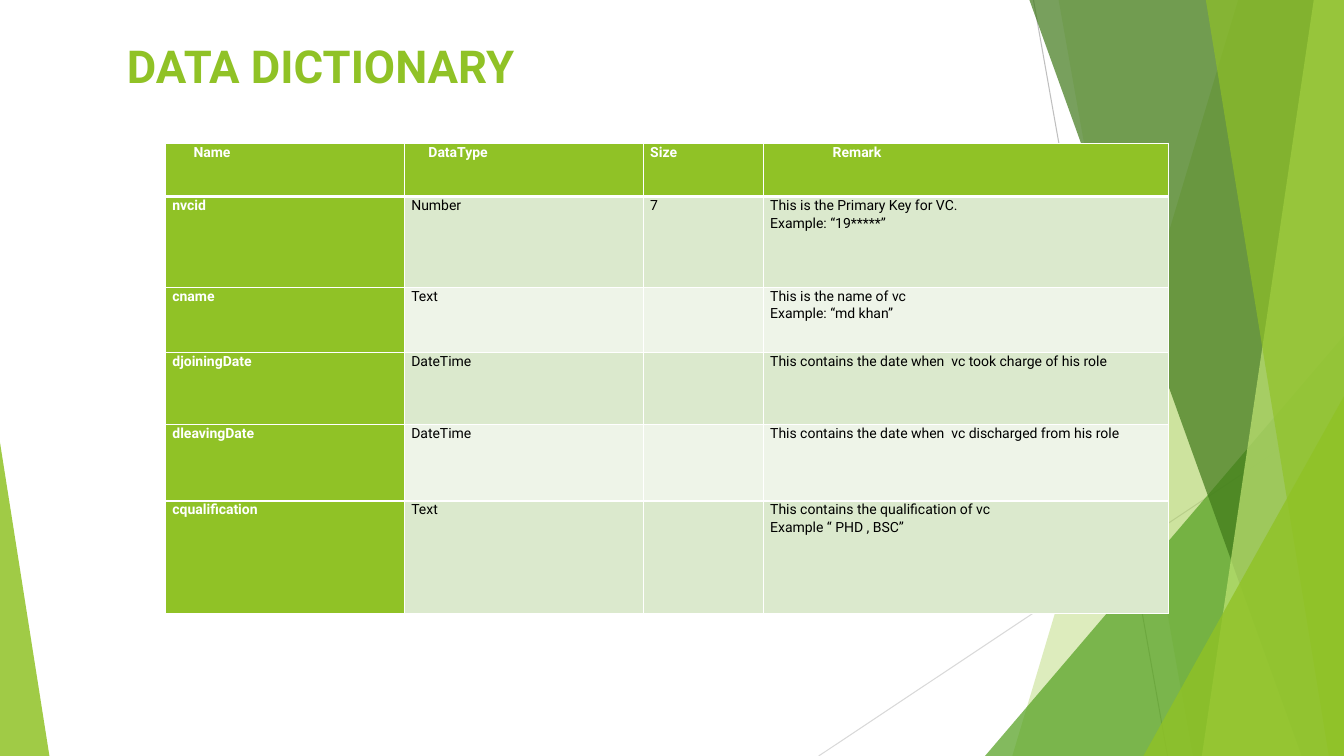
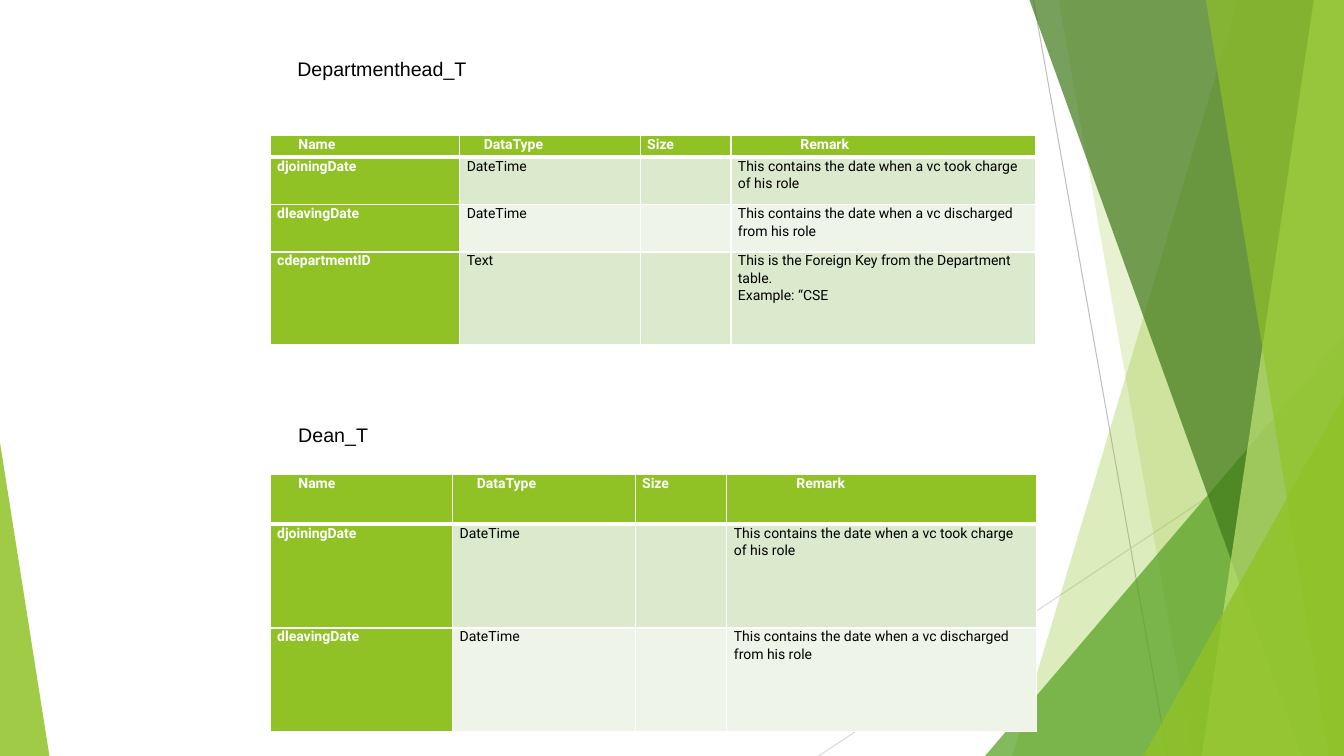
import pptx
import pptx.util
from lxml import etree
from pptx.dml.color import RGBColor
from pptx.enum.shapes import MSO_CONNECTOR, MSO_SHAPE
from pptx.enum.text import MSO_ANCHOR
from pptx.oxml.ns import qn

Inches, Pt = pptx.util.Inches, pptx.util.Pt

WIDTH, HEIGHT = 13.33, 7.5
WHITE = RGBColor(0xFF, 0xFF, 0xFF)
BLACK = RGBColor(0, 0, 0)
LIME = RGBColor(0x90, 0xC2, 0x26)
GREEN = RGBColor(0x54, 0xA0, 0x21)
FOREST = RGBColor(0x3F, 0x78, 0x19)
PALE_LIME = RGBColor(0xC0, 0xE4, 0x74)
ROW_TINTS = (RGBColor(0xDB, 0xE9, 0xCD), RGBColor(0xEE, 0xF4, 0xE8))

# Backdrop: rays are (from, to, colour)
RAYS = [
    ((10.25, 0), (11.58, HEIGHT), RGBColor(0xBF, 0xBF, 0xBF)),
    ((WIDTH, 4.03), (8.12, HEIGHT), RGBColor(0xD9, 0xD9, 0xD9)),
]
# A band runs from its left edge at top and bottom to the right side of the slide;
# a wedge stands on the bottom of the slide: left, width, height, apex share
FACETS = [
    ("band", (12.28, 10.04), LIME, 30),
    ("band", (10.5, 11.83), LIME, 20),
    ("wedge", (9.77, 3.56, 4.17, 1), GREEN, 72),
    ("band", (10.21, 12.91), FOREST, 70),
    ("band", (13.03, 11.92), PALE_LIME, 70),
    ("band", (11.96, 13.18), LIME, 65),
    ("wedge", (11.34, 1.99, 3.57, 1), LIME, 80),
    ("wedge", (0, 0.49, 3.11, 0), LIME, 85),
]

# Column headings with their indents
HEADINGS = [("Name", 0.21), ("DataType", 0.17), ("Size", 0), ("Remark", 0.62)]
TENURE = [
    ("djoiningDate", "DateTime", "", "This contains the date when a vc took charge of his role"),
    ("dleavingDate", "DateTime", "", "This contains the date when a vc discharged from his role"),
]

SLIDES = [
    {
        "texts": [("DATA DICTIONARY", (1.16, 0.33, 11.5, 1.28),
                   dict(size=32.4, font="Roboto", color=LIME, bold=True))],
        "tables": [{
            "at": (1.64, 1.42),
            "columns": (2.37, 2.37, 1.19, 4.02),
            "heights": (0.53, 0.9, 0.65, 0.71, 0.76, 1.12),
            "rows": [
                ("nvcid", "Number", "7", "This is the Primary Key for VC.\nExample: “19*****”"),
                ("cname", "Text", "", "This is the name of vc\nExample: “md khan”"),
                ("djoiningDate", "DateTime", "",
                 "This contains the date when  vc took charge of his role"),
                ("dleavingDate", "DateTime", "",
                 "This contains the date when  vc discharged from his role"),
                ("cqualification", "Text", "",
                 "This contains the qualification of vc\nExample “ PHD , BSC”"),
            ],
        }],
    },
    {
        "texts": [
            ("Departmenthead_T", (2.85, 0.52, 1.89, 0.34), dict(wrap=False)),
            ("Dean_T", (2.86, 4.15, 0.9, 0.34), dict(wrap=False)),
        ],
        "tables": [
            {
                "at": (2.68, 1.34),
                "columns": (1.88, 1.79, 0.9, 3.02),
                "heights": (0.22, 0.47, 0.47, 0.92),
                "rows": TENURE + [
                    ("cdepartmentID", "Text", "",
                     "This is the Foreign Key from the Department\ntable.\nExample: “CSE"),
                ],
            },
            {
                "at": (2.68, 4.71),
                "columns": (1.81, 1.81, 0.91, 3.07),
                "heights": (0.49, 1.03, 1.03),
                "rows": TENURE,
            },
        ],
    },
]


def write(frame, text, size=14, font="Arial", color=BLACK, bold=False, wrap=True, spacing=None):
    frame.word_wrap = wrap
    frame.text = text
    for paragraph in frame.paragraphs:
        paragraph.line_spacing = spacing
        for style in [paragraph.font] + [run.font for run in paragraph.runs]:
            style.size, style.name, style.bold = Pt(size), font, bold
            style.color.rgb = color


def paint(facet, color, opacity):
    """Fill a facet with a see-through colour (opacity in percent), with no outline."""
    facet.shadow.inherit = False
    facet.fill.solid()
    facet.fill.fore_color.rgb = color
    facet.line.fill.background()
    tone = next(facet.element.iter(qn("a:srgbClr")))
    etree.SubElement(tone, qn("a:alpha"), val=str(opacity * 1000))


def draw_backdrop(shapes):
    for start, end, color in RAYS:
        ray = shapes.add_connector(MSO_CONNECTOR.STRAIGHT, *map(Inches, start + end))
        ray.line.color.rgb = color
        ray.line.width = Pt(0.75)
        etree.SubElement(ray.element.find(qn("p:spPr")), qn("a:effectLst"))
    for kind, place, color, opacity in FACETS:
        if kind == "band":
            top_left, bottom_left = place
            outline = shapes.build_freeform(Inches(top_left), 0)
            corners = [(WIDTH, 0), (WIDTH, HEIGHT), (bottom_left, HEIGHT)]
            outline.add_line_segments([(Inches(x), Inches(y)) for x, y in corners], close=True)
            facet = outline.convert_to_shape()
        else:
            left, width, height, apex = place
            facet = shapes.add_shape(MSO_SHAPE.ISOSCELES_TRIANGLE, Inches(left),
                                     Inches(HEIGHT - height), Inches(width), Inches(height))
            facet.adjustments[0] = apex
        paint(facet, color, opacity)


def share_backdrop(slide, layout):
    """Draw the backdrop once and move it to the layout that every slide uses."""
    for placeholder in list(layout.placeholders):
        layout.shapes.element.remove(placeholder.element)
    draw_backdrop(slide.shapes)
    for part in list(slide.shapes):
        layout.shapes.element.append(part.element)


def set_borders(cell, top, bottom):
    properties = cell._tc.get_or_add_tcPr()
    sides = (("a:lnL", 1), ("a:lnR", 1), ("a:lnT", top), ("a:lnB", bottom))
    for position, (side, width) in enumerate(sides):
        border = etree.Element(qn(side), w=str(Pt(width)))
        fill = etree.SubElement(border, qn("a:solidFill"))
        etree.SubElement(fill, qn("a:srgbClr"), val=str(WHITE))
        properties.insert(position, border)


def add_dictionary(slide, at, columns, heights, rows):
    grid = slide.shapes.add_table(len(heights), len(columns), *map(Inches, at),
                                  Inches(sum(columns)), Inches(sum(heights))).table
    for column, width in zip(grid.columns, columns):
        column.width = Inches(width)
    for row, height in zip(grid.rows, heights):
        row.height = Inches(height)
    for r, entries in enumerate([[name for name, _ in HEADINGS]] + rows):
        for c, entry in enumerate(entries):
            cell = grid.cell(r, c)
            is_key = r == 0 or c == 0
            indent = HEADINGS[c][1] if r == 0 else 0
            cell.margin_left, cell.margin_right = Inches(0.07 + indent), Inches(0.07)
            cell.margin_top = cell.margin_bottom = 0
            cell.fill.solid()
            cell.fill.fore_color.rgb = LIME if is_key else ROW_TINTS[(r - 1) % 2]
            set_borders(cell, top=3 if r == 1 else 1, bottom=3 if r == 0 else 1)
            write(cell.text_frame, entry, size=10, font="Roboto", bold=is_key,
                  color=WHITE if is_key else BLACK, spacing=1.07)


def main():
    deck = pptx.Presentation()
    deck.slide_width, deck.slide_height = Inches(WIDTH), Inches(HEIGHT)
    blank = deck.slide_layouts[6]
    for number, content in enumerate(SLIDES):
        slide = deck.slides.add_slide(blank)
        if number == 0:
            share_backdrop(slide, blank)
        for text, box, style in content["texts"]:
            label = slide.shapes.add_textbox(*map(Inches, box))
            label.text_frame.vertical_anchor = MSO_ANCHOR.TOP
            write(label.text_frame, text, **style)
        for dictionary in content["tables"]:
            add_dictionary(slide, **dictionary)
    deck.save("out.pptx")


if __name__ == "__main__":
    main()
